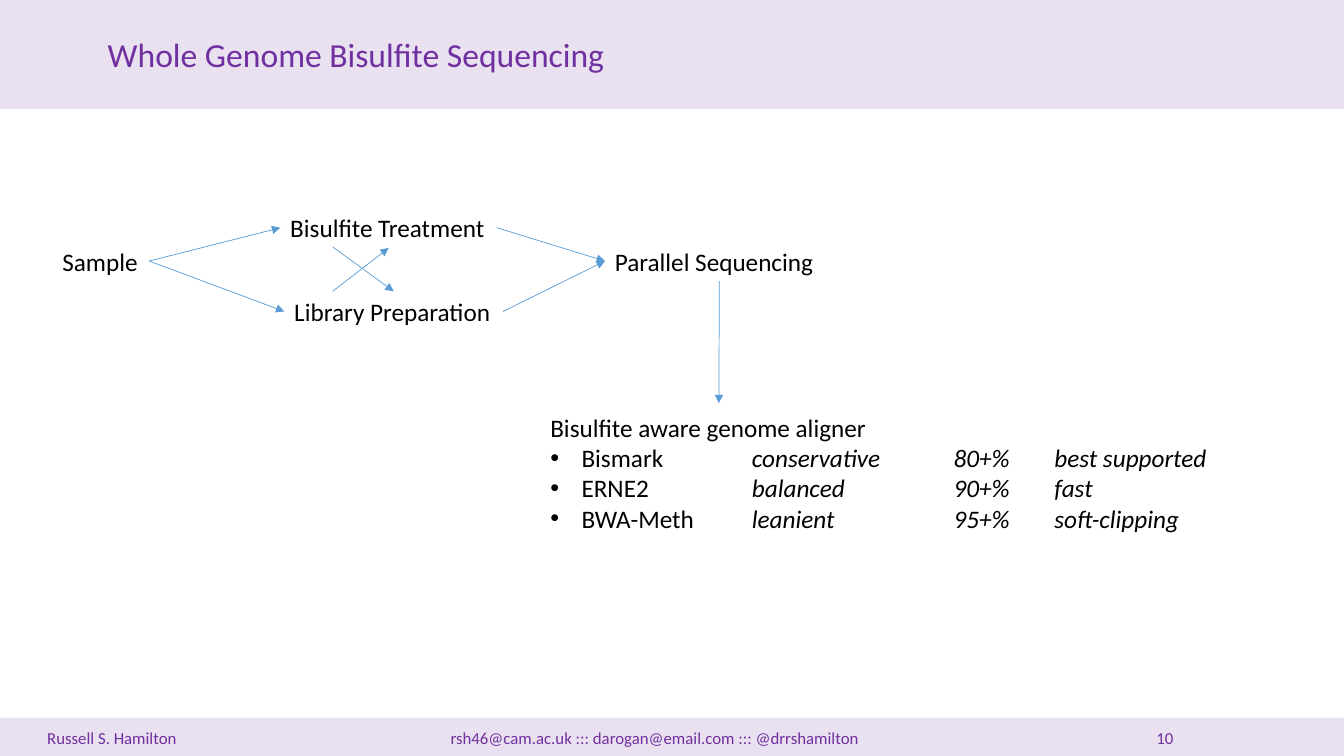
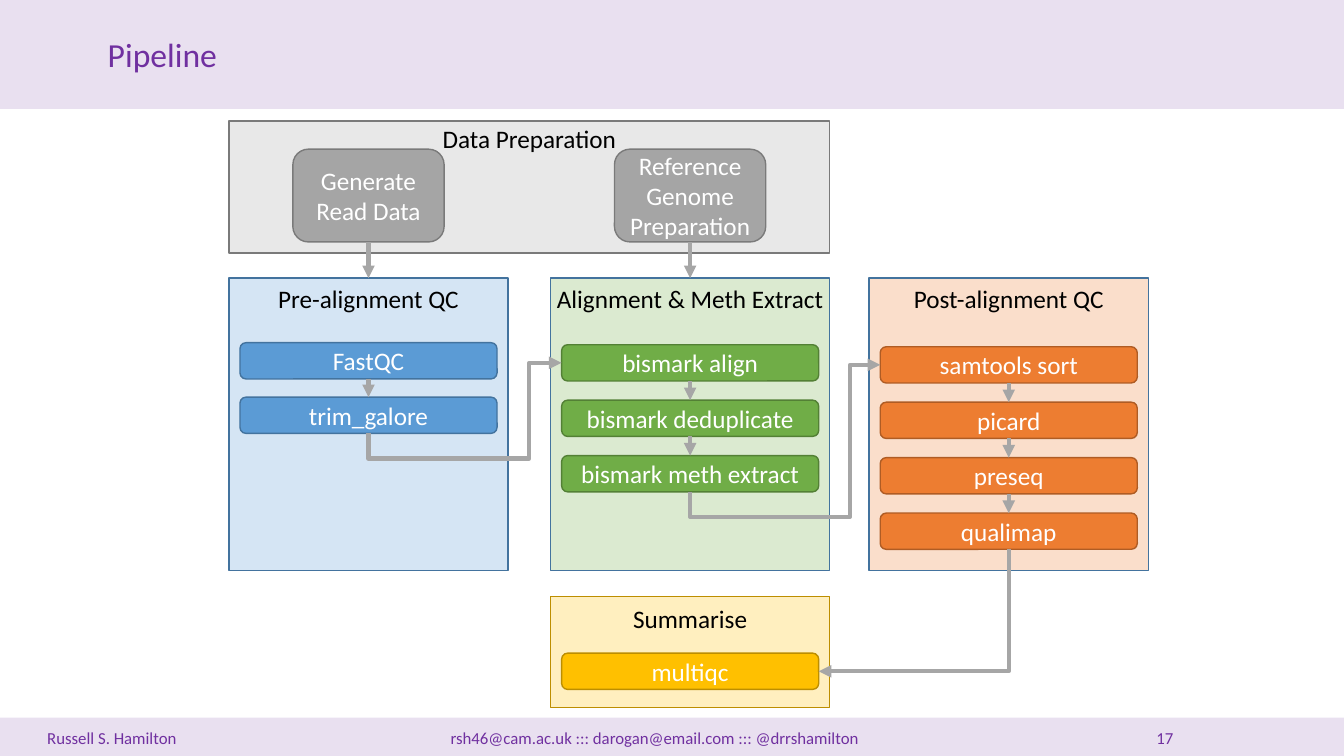
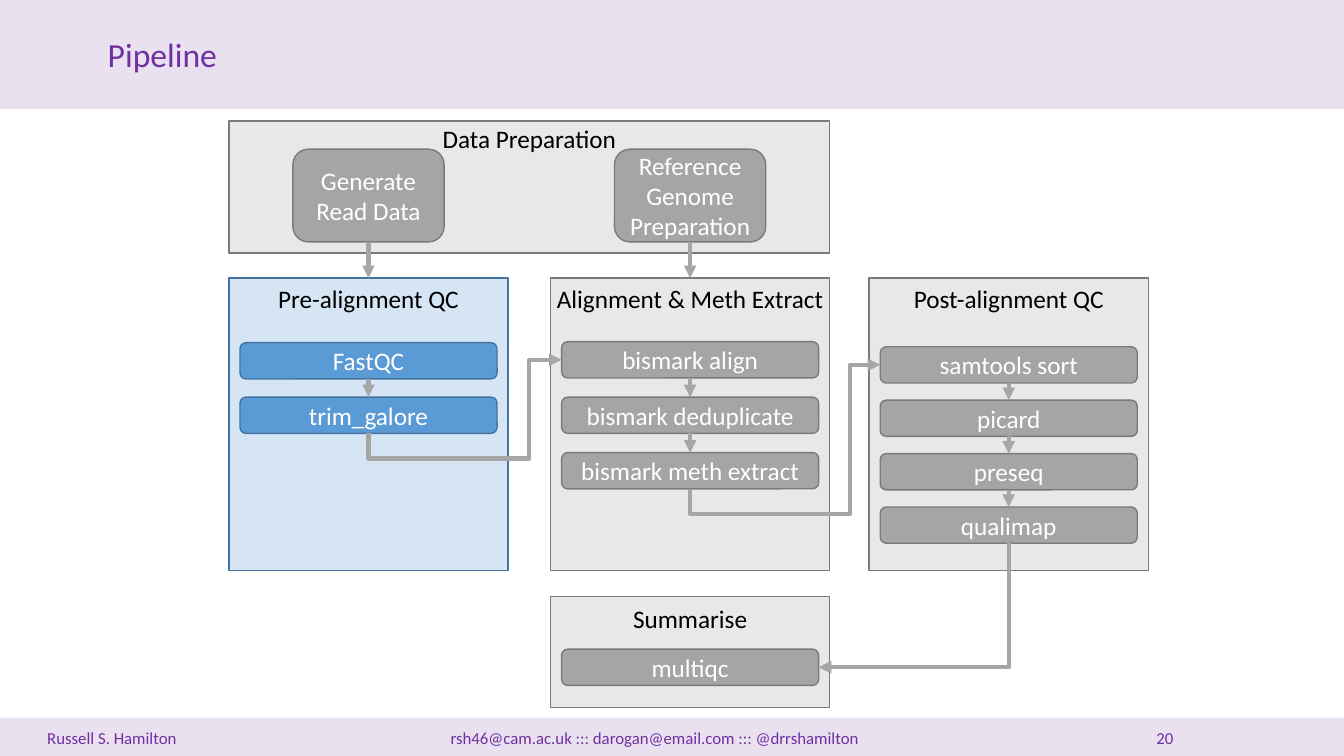
from dataclasses import dataclass
from itertools import pairwise

from lxml import etree
from pptx import Presentation
from pptx import util as u
from pptx.dml.color import RGBColor
from pptx.enum import shapes, text
from pptx.oxml.ns import qn


@dataclass(frozen=True)
class Theme:
    """Colours, type sizes and grid of the deck."""
    font: str = "Calibri"
    head: int = 24
    body: int = 18
    foot: int = 12
    brand: str = "7030A0"
    ink: str = "000000"
    pale: str = "FFFFFF"
    arrow: str = "A6A6A6"
    thin: str = "5B9BD5"
    blue: tuple = ("5B9BD5", "43739E")
    green: tuple = ("70AD47", "538035")
    orange: tuple = ("ED7D31", "AF5C24")
    gold: tuple = ("FFC000", "BD8E00")
    grey: tuple = ("A5A5A5", "7A7A7A")
    wide: float = 13.33
    high: float = 7.5
    cols: tuple = (2.27, 5.46, 8.62)
    span: float = 2.77
    inset: float = 0.11
    bar: float = 0.36


T = Theme()
LEFT, MID = text.PP_ALIGN.LEFT, text.PP_ALIGN.CENTER


def rgb(hue):
    """Turn a hex string into a colour."""
    return RGBColor.from_string(hue)


def inches(*sizes):
    """Turn numbers into lengths."""
    return [u.Inches(n) for n in sizes]


def sub(node, tag, **attrs):
    """Append a drawing element to a node."""
    child = etree.SubElement(node, qn("a:" + tag))
    for key, val in attrs.items():
        child.set(key, str(val))
    return child


def add_run(para, words, size, hue, slant=False):
    """Append one styled run to a paragraph."""
    run = para.add_run()
    run.text = words
    font = run.font
    font.name, font.size, font.italic = T.font, u.Pt(size), slant
    font.color.rgb = rgb(hue)


def set_tabs(para, *stops):
    """Give a paragraph its tab stops."""
    tabs = sub(para._p.get_or_add_pPr(), "tabLst")
    for stop in stops:
        sub(tabs, "tab", pos=u.Inches(stop), algn="l")


def add_box(slide, at, words, size=T.body, hue=T.ink, align=LEFT, wrap=False):
    """Add a text box holding one line."""
    box = slide.shapes.add_textbox(*inches(*at))
    frame = box.text_frame
    frame.word_wrap = wrap
    frame.auto_size = text.MSO_AUTO_SIZE.SHAPE_TO_FIT_TEXT
    para = frame.paragraphs[0]
    para.alignment = align
    add_run(para, words, size, hue)
    return box


def add_block(slide, at, hues, words="", alpha=None):
    """Add a solid rounded box with words, or a tinted rectangle."""
    kind = shapes.MSO_SHAPE
    form = kind.ROUNDED_RECTANGLE if words else kind.RECTANGLE
    block = slide.shapes.add_shape(form, *inches(*at))
    block.shadow.inherit = False
    fill, edge = hues
    block.fill.solid()
    block.fill.fore_color.rgb = rgb(fill)
    if alpha:
        tint = block.fill._xPr.find(qn("a:solidFill"))[0]
        sub(tint, "alpha", val=alpha * 1000)
    if edge:
        block.line.color.rgb = rgb(edge)
        block.line.width = u.Pt(1)
    else:
        block.line.fill.background()
    if words:
        frame = block.text_frame
        frame.word_wrap = True
        frame.vertical_anchor = text.MSO_ANCHOR.MIDDLE
        para = frame.paragraphs[0]
        para.alignment = MID
        add_run(para, words, T.body, T.pale)
    return block


def add_arrow(slide, start, end, hue=T.arrow, width=3, form="STRAIGHT"):
    """Add an arrow between points or (shape, side) pairs."""
    kind = getattr(shapes.MSO_CONNECTOR, form)
    line = slide.shapes.add_connector(kind, 0, 0, 0, 0)
    if hasattr(start[0], "shape_id"):
        line.begin_connect(*start)
    else:
        line.begin_x, line.begin_y = inches(*start)
    if hasattr(end[0], "shape_id"):
        line.end_connect(*end)
    else:
        line.end_x, line.end_y = inches(*end)
    line.line.color.rgb = rgb(hue)
    line.line.width = u.Pt(width)
    sub(line.line._get_or_add_ln(), "tailEnd", type="triangle")
    sub(line.element.spPr, "effectLst")
    return line


def add_elbow(slide, start, end, turn=None, drop=0.25):
    """Add a bent arrow that leaves downwards, rising at turn if given."""
    line = add_arrow(slide, start, end, form="ELBOW")
    x, y = line.begin_x, line.begin_y
    run, rise = line.end_x - x, line.end_y - y
    mid, level = x + run // 2, y + rise // 2
    line.width, line.height = abs(rise), abs(run)
    line.left, line.top = mid - abs(rise) // 2, level - abs(run) // 2
    props = line.element.spPr
    form = props.find(qn("a:xfrm"))
    form.set("rot", "5400000")
    for flip in ("flipH", "flipV"):
        form.set(flip, "1" if turn else "0")
    geom = props.find(qn("a:prstGeom"))
    geom.set("prst", "bentConnector4" if turn else "bentConnector2")
    if turn:
        shares = u.Inches(drop) / rise, (u.Inches(turn) - x) / run
        for i, share in enumerate(shares, 1):
            sub(geom.find(qn("a:avLst")), "gd", name=f"adj{i}",
                fmla=f"val {round(share * 100000)}")


def add_slide(deck, title, number):
    """Add a slide with its bands, title and footer."""
    slide = deck.slides.add_slide(deck.slide_layouts[6])
    for top, tall in ((0, 1.08), (7.12, 0.38)):
        add_block(slide, (0, top, T.wide, tall), (T.brand, None), alpha=15)
    add_box(slide, (0.97, 0.29, 5.15, 0.5), title, T.head, T.brand)
    mail = "rsh46@cam.ac.uk ::: darogan@email.com ::: @drrshamilton"
    foot = add_box(slide, (0.37, 7.17, 12.36, 0.3),
                   f"Russell S. Hamilton\t{mail}\t{number}",
                   T.foot, T.brand, wrap=True)
    set_tabs(foot.text_frame.paragraphs[0], 4, 11)
    return slide


def add_tools(slide):
    """Add the list of aligners."""
    box = add_box(slide, (5.36, 4.04, 6.77, 1.31),
                  "Bisulfite aware genome aligner")
    rows = (("Bismark", "conservative\t80+%\tbest supported"),
            ("ERNE2", "balanced\t90+%\tfast"),
            ("BWA-Meth", "leanient\t95+%\tsoft-clipping"))
    for name, notes in rows:
        para = box.text_frame.add_paragraph()
        props = para._p.get_or_add_pPr()
        props.set("marL", str(u.Inches(0.31)))
        props.set("indent", str(-u.Inches(0.31)))
        sub(props, "buFont", typeface="Arial")
        sub(props, "buChar", char="•")
        set_tabs(para, 2, 4, 5)
        add_run(para, name + "\t", T.body, T.ink)
        add_run(para, notes, T.body, T.ink, True)


def add_flow(deck):
    """Build the sequencing overview."""
    slide = add_slide(deck, "Whole Genome Bisulfite Sequencing", 10)
    sample = add_box(slide, (0.52, 2.39, 0.96, 0.4), "Sample")
    treat = add_box(slide, (2.78, 2.06, 2.15, 0.4), "Bisulfite Treatment")
    prep = add_box(slide, (2.82, 2.89, 2.17, 0.4), "Library Preparation")
    reads = add_box(slide, (6, 2.39, 2.27, 0.4), "Parallel Sequencing")
    links = (((sample, 3), (treat, 1)), ((sample, 3), (prep, 1)),
             ((3.3, 2.89), (treat, 2)), ((3.3, 2.45), (prep, 0)),
             ((treat, 3), (reads, 1)), ((prep, 3), (reads, 1)),
             ((reads, 2), (7.13, 4)))
    for start, end in links:
        add_arrow(slide, start, end, T.thin, 0.5)
    add_tools(slide)


def add_panel(slide, at, hues, title, drop=0):
    """Add a tinted panel with a centred title."""
    left, top, wide, _ = at
    panel = add_block(slide, at, hues, alpha=25)
    add_box(slide, (left - 0.05, top + drop, wide + 0.1, 0.4), title,
            align=MID)
    return panel


def add_stack(slide, left, top, pitch, hues, names):
    """Add a column of step boxes joined by arrows."""
    wide = T.span - 2 * T.inset
    steps = [add_block(slide, (left + T.inset, top + i * pitch, wide, T.bar),
                       hues, name) for i, name in enumerate(names)]
    for above, below in pairwise(steps):
        add_arrow(slide, (above, 2), (below, 0))
    return steps


def add_pipe(deck, number, hues, edges, rows):
    """Build the pipeline with a hue, panel edge and row rule per stage."""
    slide = add_slide(deck, "Pipeline", number)
    one, two, _ = T.cols
    add_panel(slide, (one, 1.2, two + T.span - one, 1.31), T.grey,
              "Data Preparation", -0.03)
    titles = "Pre-alignment QC", "Alignment & Meth Extract", "Post-alignment QC"
    panels = [add_panel(slide, (left, 2.76, T.span, 2.9), (hue[0], edge), title)
              for left, hue, edge, title in zip(T.cols, hues, edges, titles)]
    add_panel(slide, (two, 5.92, T.span, 1.1), hues[3], "Summarise", 0.02)

    sources = "Generate Read Data", "Reference Genome Preparation"
    for left, panel, name in zip(T.cols, panels, sources):
        at = (left + (T.span - 1.5) / 2, 1.48, 1.5, 0.92)
        source = add_block(slide, at, T.grey, name)
        add_arrow(slide, (source, 2), (panel, 0))

    names = (("FastQC", "trim_galore"),
             ("bismark align", "bismark deduplicate", "bismark meth extract"),
             ("samtools sort", "picard", "preseq", "qualimap"),
             ("multiqc",))
    stacks = [add_stack(slide, left, *row, hue, group) for left, row, hue, group
              in zip((*T.cols, two), rows, hues, names)]
    check, align, post, total = stacks
    add_elbow(slide, (check[-1], 2), (align[0], 1), 5.25)
    add_elbow(slide, (align[-1], 2), (post[0], 1), 8.43)
    add_elbow(slide, (post[-1], 2), (total[0], 3))


def main():
    """Build and save the deck."""
    deck = Presentation()
    deck.slide_width, deck.slide_height = inches(T.wide, T.high)
    add_flow(deck)
    rim, dim = T.blue[1], T.grey[1]
    add_pipe(deck, 17, (T.blue, T.green, T.orange, T.gold), (rim, rim, rim),
             ((3.4, 0.54), (3.42, 0.55), (3.44, 0.55), (6.48, 0)))
    add_pipe(deck, 20, (T.blue, T.grey, T.grey, T.grey), (rim, dim, dim),
             ((3.4, 0.54), (3.39, 0.55), (3.44, 0.53), (6.44, 0)))
    deck.save("out.pptx")


if __name__ == "__main__":
    main()
